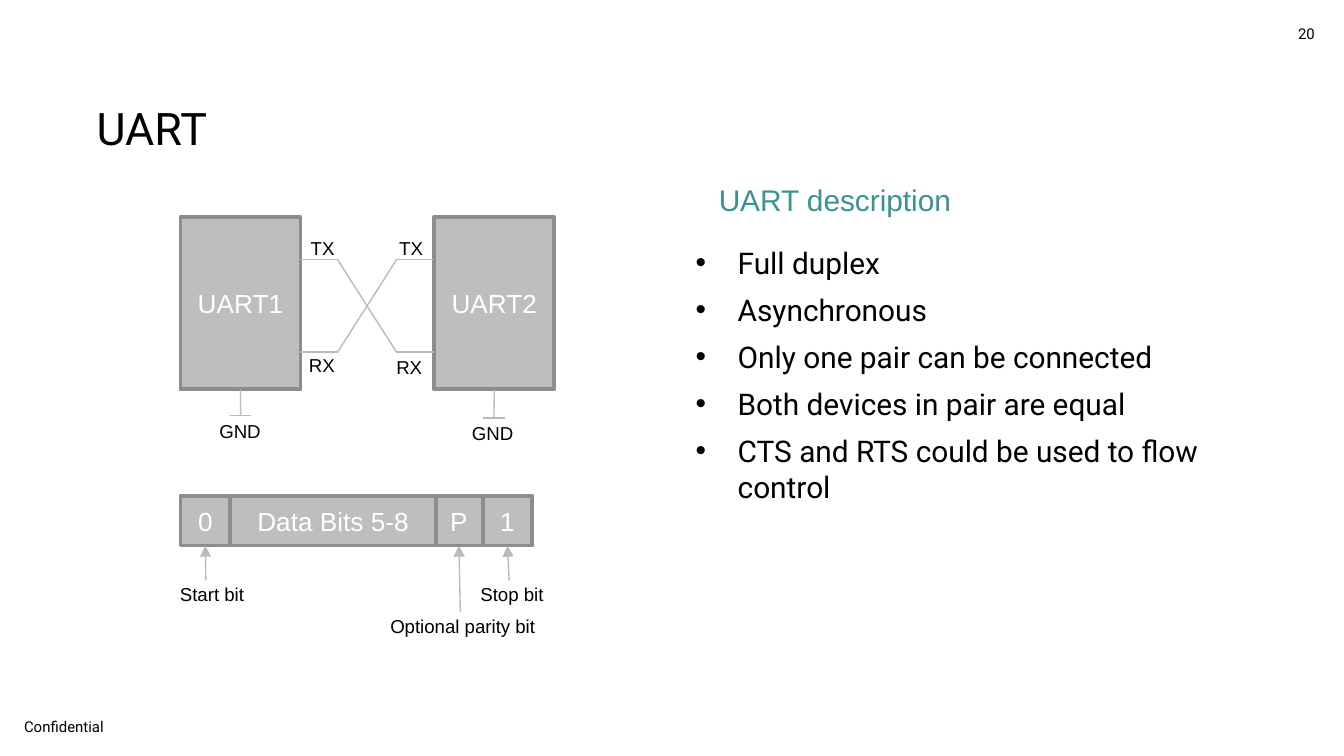
"""Build a slide on UART wiring, its frame layout and its main properties."""
from lxml import etree
from pptx import Presentation
from pptx.dml.color import RGBColor
from pptx.enum.shapes import MSO_CONNECTOR, MSO_SHAPE
from pptx.enum.text import MSO_ANCHOR, MSO_AUTO_SIZE, PP_ALIGN
from pptx.oxml.ns import qn
from pptx.util import Pt

STRAIGHT = MSO_CONNECTOR.STRAIGHT
RECTANGLE = MSO_SHAPE.RECTANGLE
TOP, MIDDLE = MSO_ANCHOR.TOP, MSO_ANCHOR.MIDDLE
LEFT, CENTER = PP_ALIGN.LEFT, PP_ALIGN.CENTER
FIXED, FIT_TEXT = MSO_AUTO_SIZE.NONE, MSO_AUTO_SIZE.SHAPE_TO_FIT_TEXT
BOTTOM_SIDE = 2

COLORS = {
    "text": "000000",
    "heading": "389394",
    "block": "BCBEC0",
    "border": "8B8D8E",
    "wire": "B8BABC",
    "on_block": "FFFFFF",
}


def write(holder, lines, size, font="Arial", color="text", align=LEFT, **frame_format):
    frame = holder.text_frame
    settings = {"word_wrap": True, "auto_size": FIXED, "vertical_anchor": TOP}
    for name, value in (settings | frame_format).items():
        setattr(frame, name, value)
    frame.text = "\n".join(lines)
    for paragraph in frame.paragraphs:
        paragraph.alignment = align
        run_font = paragraph.runs[0].font
        run_font.name = font
        run_font.size = Pt(size)
        run_font.color.rgb = RGBColor.from_string(COLORS[color])


def draw_wire(x1, y1, x2, y2, arrow=False):
    wire = slide.shapes.add_connector(STRAIGHT, Pt(x1), Pt(y1), Pt(x2), Pt(y2))
    wire.line.color.rgb = RGBColor.from_string(COLORS["wire"])
    wire.line.width = Pt(0.75)
    if arrow:
        etree.SubElement(wire.line._get_or_add_ln(), qn("a:tailEnd"), type="triangle")
    etree.SubElement(wire._element.spPr, qn("a:effectLst"))
    return wire


deck = Presentation()
deck.slide_width, deck.slide_height = Pt(720), Pt(405)
slide = deck.slides.add_slide(deck.slide_layouts[1])

title = slide.shapes.title
properties = slide.placeholders[1]
for placeholder, bounds in (
    (title, (44.6, 46.8, 636.5, 44)),
    (properties, (360, 127.5, 313, 252.5)),
):
    placeholder.left, placeholder.top, placeholder.width, placeholder.height = map(Pt, bounds)

write(title, ["UART"], 24, "Roboto", margin_top=Pt(7.2), margin_bottom=Pt(7.2))
write(properties, [
    "Full duplex",
    "Asynchronous",
    "Only one pair can be connected",
    "Both devices in pair are equal",
    "CTS and RTS could be used to flow control",
], 16, "Roboto")
for item in properties.text_frame.paragraphs:
    item.space_before = Pt(6)
    indents = item._p.get_or_add_pPr()
    indents.set("marL", str(Pt(28)))
    indents.set("indent", str(-Pt(22.5)))

blocks = {}
for caption, x, y, width, height in (
    ("UART1", 96.7, 116.2, 64.3, 92.4),
    ("UART2", 232.7, 116.2, 64.3, 92.4),
    ("P", 232.6, 265.7, 26.6, 26.6),
    ("0", 96.7, 265.7, 26.6, 26.6),
    ("1", 258.6, 265.7, 26.6, 26.6),
    ("Data Bits 5-8", 123.3, 265.7, 110.3, 26.6),
):
    block = slide.shapes.add_shape(RECTANGLE, Pt(x), Pt(y), Pt(width), Pt(height))
    block.shadow.inherit = False
    block.fill.solid()
    block.fill.fore_color.rgb = RGBColor.from_string(COLORS["block"])
    block.line.color.rgb = RGBColor.from_string(COLORS["border"])
    block.line.width = Pt(2)
    write(block, [caption], 14, color="on_block", align=CENTER, vertical_anchor=MIDDLE)
    blocks[caption] = block

tx_y, rx_y = 139.2, 188.6
cross_left, cross_right = 180.9, 212.4
for pin_y, far_y in ((rx_y, tx_y), (tx_y, rx_y)):
    draw_wire(161, pin_y, cross_left, pin_y)
    draw_wire(cross_right, pin_y, 232.7, pin_y)
    draw_wire(cross_left, pin_y, cross_right, far_y)

for device, ground_x, ground_y in (("UART1", 128.9, 222.5), ("UART2", 264.6, 223.9)):
    stem = draw_wire(ground_x, 208.6, ground_x, ground_y)
    stem.begin_connect(blocks[device], BOTTOM_SIDE)
    draw_wire(ground_x - 5.8, ground_y, ground_x + 5.8, ground_y)

for bit, pointer_x, pointer_y in (("0", 110.3, 311), ("1", 272.8, 311), ("P", 246.6, 327.8)):
    pointer = draw_wire(pointer_x, pointer_y, pointer_x, 292.3, arrow=True)
    pointer.end_connect(blocks[bit], BOTTOM_SIDE)

label_format = {"word_wrap": False, "auto_size": FIT_TEXT}
for caption, x, y, width, height, size, font, color, frame_format in (
    ("TX", 159.4, 123.3, 27.6, 19.4, 10, "Arial", "text", label_format),
    ("TX", 206.8, 123.3, 27.6, 19.4, 10, "Arial", "text", label_format),
    ("RX", 158.4, 186.1, 28.6, 19.4, 10, "Arial", "text", label_format),
    ("RX", 205.2, 187.2, 28.6, 19.4, 10, "Arial", "text", label_format),
    ("GND", 110.4, 221.3, 36.7, 19.4, 10, "Arial", "text", label_format),
    ("GND", 245.7, 222.6, 36.7, 19.4, 10, "Arial", "text", label_format),
    ("Start bit", 89.3, 308.9, 49, 19.4, 10, "Arial", "text", label_format),
    ("Stop bit", 250.3, 308.9, 48.2, 19.4, 10, "Arial", "text", label_format),
    ("Optional parity bit", 202, 325.7, 92.9, 19.4, 10, "Arial", "text", label_format),
    ("UART description", 378, 93.6, 313, 35.3, 16, "Arial", "heading", {}),
    ("20", 688.3, 7.2, 35.3, 21.6, 8, "Roboto", "text", {"vertical_anchor": MIDDLE}),
    ("Confidential", 5.8, 380.9, 167.8, 19.4, 8, "Roboto", "text", {}),
):
    label = slide.shapes.add_textbox(Pt(x), Pt(y), Pt(width), Pt(height))
    write(label, [caption], size, font, color, **frame_format)

deck.save("out.pptx")
